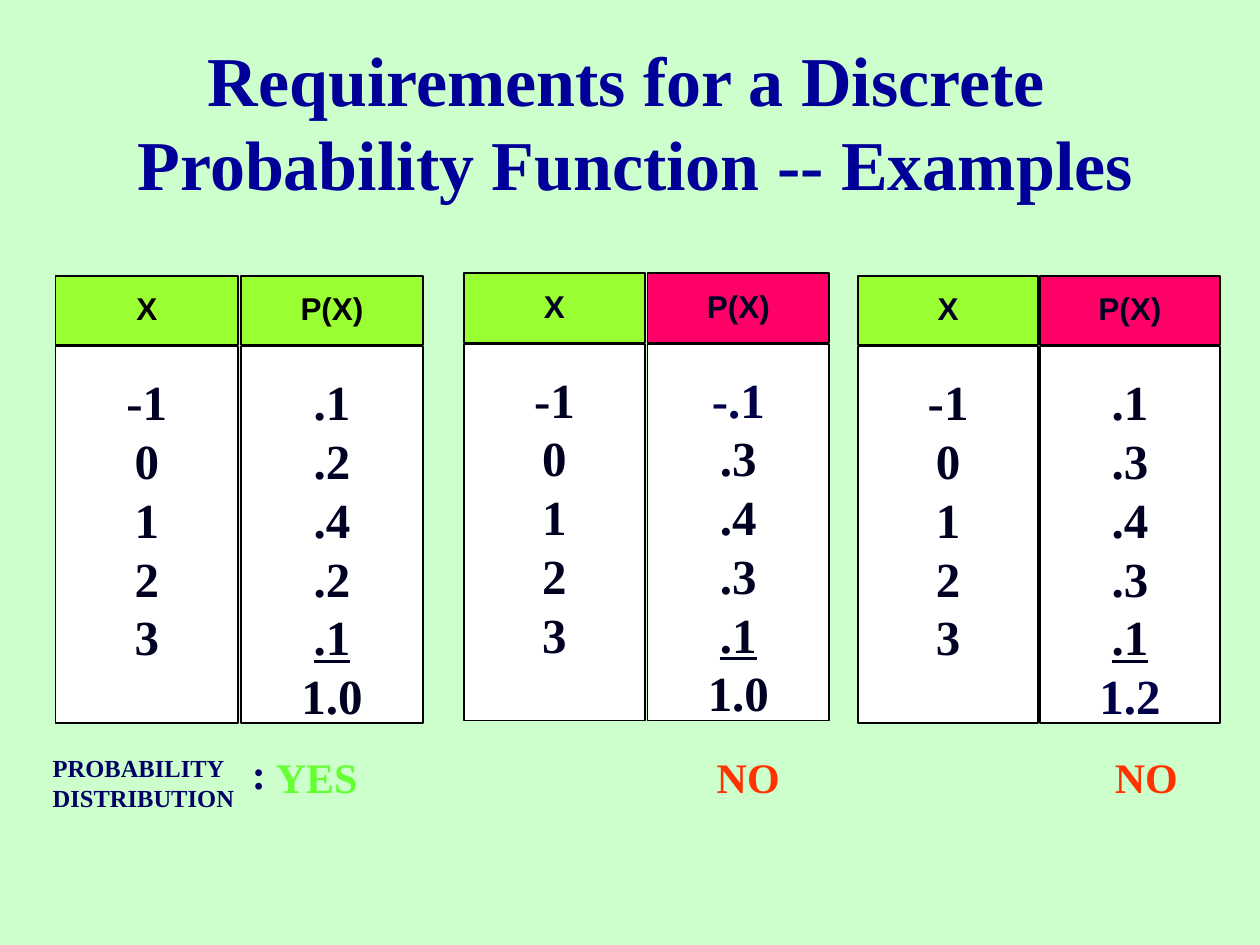
from pptx import Presentation
from pptx.dml.color import RGBColor
from pptx.enum.shapes import MSO_SHAPE
from pptx.enum.text import MSO_ANCHOR, MSO_AUTO_SIZE, PP_ALIGN
from pptx.util import Pt

RECTANGLE = MSO_SHAPE.RECTANGLE
TOP, MIDDLE = MSO_ANCHOR.TOP, MSO_ANCHOR.MIDDLE
LEFT, CENTER = PP_ALIGN.LEFT, PP_ALIGN.CENTER
FIT_TEXT = MSO_AUTO_SIZE.SHAPE_TO_FIT_TEXT

MINT = RGBColor(0xCC, 0xFF, 0xCC)
BLUE = RGBColor(0x00, 0x00, 0x99)
LIME = RGBColor(0x99, 0xFF, 0x33)
PINK = RGBColor(0xFF, 0x00, 0x66)
WHITE = RGBColor(0xFF, 0xFF, 0xFF)
BLACK = RGBColor(0x00, 0x00, 0x00)
INK = RGBColor(0x00, 0x00, 0x22)
FAULT = RGBColor(0x00, 0x00, 0x48)
NAVY = RGBColor(0x00, 0x00, 0x66)
GREEN = RGBColor(0x66, 0xFF, 0x33)
RED = RGBColor(0xFF, 0x33, 0x00)

SERIF, SANS = "Times New Roman", "Arial"
TITLE = ["Requirements for a Discrete ", "Probability Function -- Examples"]
X_VALUES = ["-1", "0", "1", "2", "3"]

EXAMPLES = [
    {"left": 31.7, "top": 157.7, "width": 104.4, "gap": 1.4,
     "head_ink": BLACK, "head_fill": LIME, "fault": None,
     "chances": [".1", ".2", ".4", ".2", ".1"], "total": "1.0"},
    {"left": 265, "top": 156.2, "width": 103.7, "gap": 1.4,
     "head_ink": INK, "head_fill": PINK, "fault": "-.1",
     "chances": ["-.1", ".3", ".4", ".3", ".1"], "total": "1.0"},
    {"left": 490.3, "top": 157.7, "width": 103, "gap": 0.9,
     "head_ink": INK, "head_fill": PINK, "fault": "1.2",
     "chances": [".1", ".3", ".4", ".3", ".1"], "total": "1.2"},
]

LABELS = [
    (["PROBABILITY", "DISTRIBUTION"], 23, 427, 118, 41, 14, NAVY),
    ([":"], 136.8, 423.4, 22.3, 36, 24, NAVY),
    (["YES"], 150.5, 426.2, 61.2, 36, 24, GREEN),
    (["NO"], 402.5, 426.2, 50.4, 36, 24, RED),
    (["NO"], 630, 426.2, 50.4, 36, 24, RED),
]

HEAD_HEIGHT, BODY_OFFSET, BODY_HEIGHT = 39.6, 40.3, 215.3
LINE_RATIO = 1.2


def set_values(target, values):
    for name, value in values.items():
        setattr(target, name, value)


def set_frame(box, anchor, inset_x, inset_y, wrap=True):
    set_values(box.text_frame, {
        "word_wrap": wrap, "vertical_anchor": anchor,
        "margin_left": Pt(inset_x), "margin_right": Pt(inset_x),
        "margin_top": Pt(inset_y), "margin_bottom": Pt(inset_y)})


def add_span(para, text, size, color, font=SERIF, underline=None):
    span = para.add_run()
    span.text = text
    set_values(span.font, {"name": font, "size": Pt(size), "bold": True,
                           "underline": underline})
    span.font.color.rgb = color


def paragraphs(box, count, align, spacing):
    frame = box.text_frame
    paras = [frame.paragraphs[0]]
    paras += [frame.add_paragraph() for _ in range(count - 1)]
    for para in paras:
        set_values(para, {"alignment": align, "line_spacing": spacing})
    return paras


def add_cell(group, left, top, width, height, fill):
    cell = group.shapes.add_shape(RECTANGLE, Pt(left), Pt(top),
                                  Pt(width), Pt(height))
    cell.shadow.inherit = False
    cell.fill.solid()
    cell.fill.fore_color.rgb = fill
    cell.line.color.rgb = BLACK
    cell.line.width = Pt(1)
    return cell


def add_example(page, example):
    group = page.shapes.add_group_shape()
    top, width = example["top"], example["width"]
    columns = [
        ("X", LIME, X_VALUES, None),
        ("P(X)", example["head_fill"],
         example["chances"] + [example["total"]], len(example["chances"]) - 1),
    ]
    for index, (heading, fill, values, sum_row) in enumerate(columns):
        left = example["left"] + index * (width + example["gap"])
        head = add_cell(group, left, top, width, HEAD_HEIGHT, fill)
        set_frame(head, MIDDLE, 7.2, 3.6)
        para = paragraphs(head, 1, CENTER, 0.9)[0]
        add_span(para, heading, 18, example["head_ink"], SANS)

        body = add_cell(group, left, top + BODY_OFFSET, width, BODY_HEIGHT, WHITE)
        set_frame(body, TOP, 14.4, 14.4)
        paras = paragraphs(body, len(values), CENTER, Pt(28 * LINE_RATIO))
        for row, (para, value) in enumerate(zip(paras, values)):
            color = FAULT if value == example["fault"] else INK
            add_span(para, value, 28, color, underline=row == sum_row)


def add_title(page):
    box = page.shapes.add_textbox(Pt(30), Pt(24), Pt(666), Pt(90))
    set_frame(box, MIDDLE, 7.2, 3.6)
    para = paragraphs(box, 1, CENTER, Pt(40 * LINE_RATIO))[0]
    for index, line in enumerate(TITLE):
        if index:
            para.add_line_break()
        add_span(para, line, 40, BLUE)


def add_label(page, lines, left, top, width, height, size, color):
    box = page.shapes.add_textbox(Pt(left), Pt(top), Pt(width), Pt(height))
    set_frame(box, TOP, 7.2, 3.6, wrap=False)
    box.text_frame.auto_size = FIT_TEXT
    paras = paragraphs(box, len(lines), LEFT, Pt(size * LINE_RATIO))
    for para, line in zip(paras, lines):
        add_span(para, line, size, color)


def main():
    deck = Presentation()
    set_values(deck, {"slide_width": Pt(720), "slide_height": Pt(540)})
    page = deck.slides.add_slide(deck.slide_layouts[6])
    page.background.fill.solid()
    page.background.fill.fore_color.rgb = MINT
    add_title(page)
    for example in EXAMPLES:
        add_example(page, example)
    for label in LABELS:
        add_label(page, *label)
    deck.save("out.pptx")


if __name__ == "__main__":
    main()
